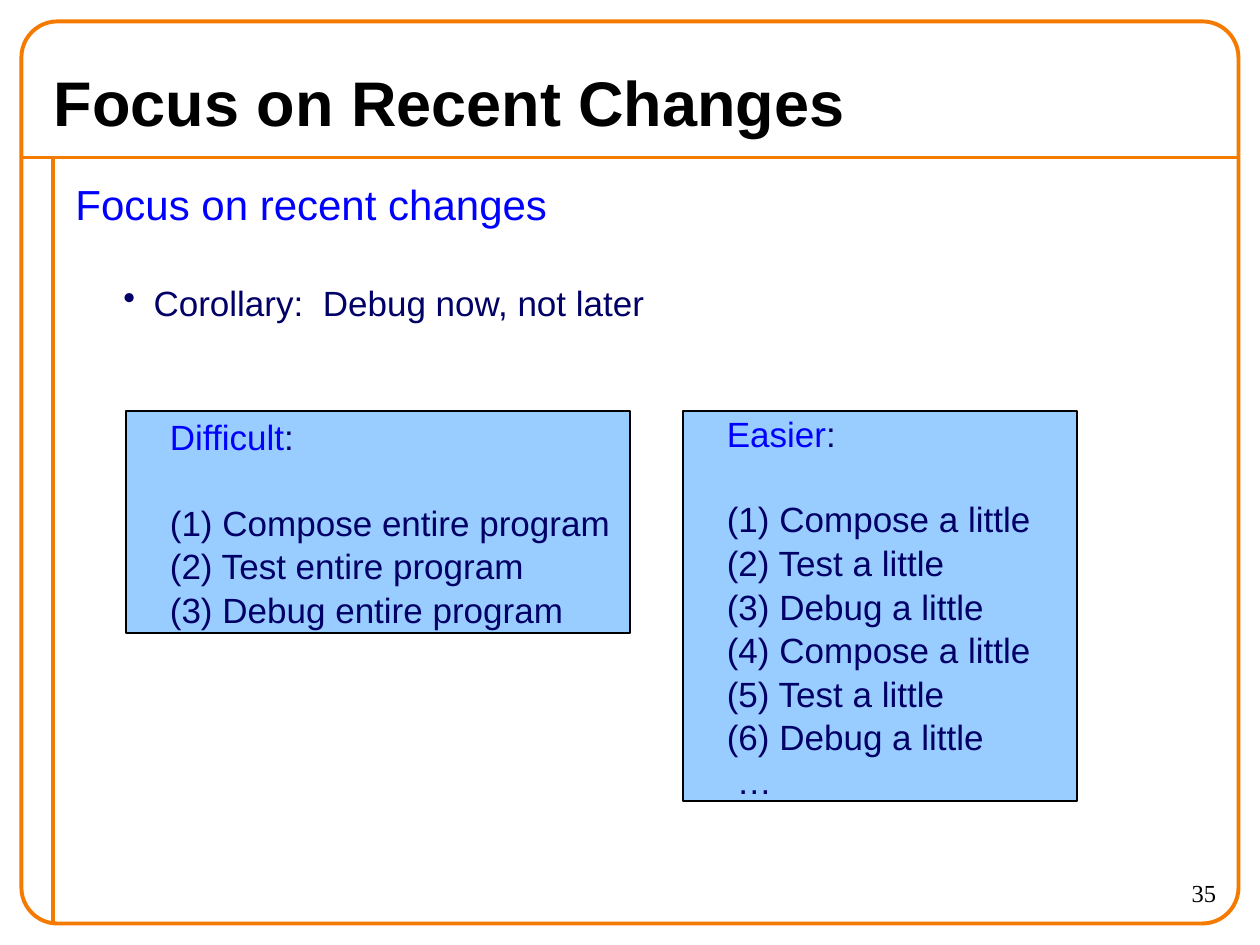
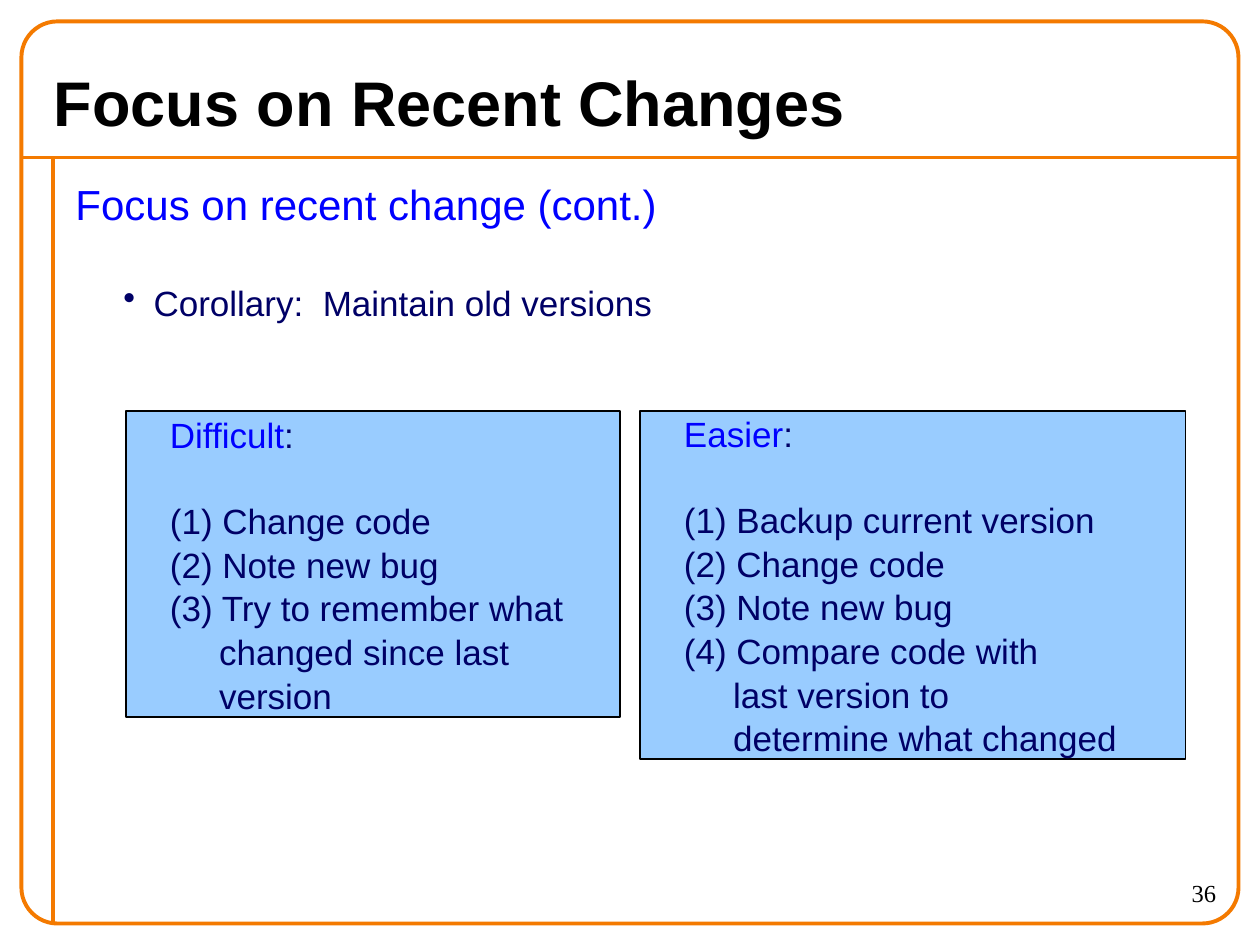
"""Builds two slides on debugging by focusing on recent changes."""
from lxml import etree
from pptx import Presentation
from pptx.dml.color import RGBColor
from pptx.enum.shapes import MSO_CONNECTOR, MSO_SHAPE
from pptx.enum.text import MSO_ANCHOR, PP_ALIGN
from pptx.oxml.ns import qn
from pptx.util import Inches, Pt

LINE = MSO_CONNECTOR.STRAIGHT
RECT, ROUND = MSO_SHAPE.RECTANGLE, MSO_SHAPE.ROUNDED_RECTANGLE
TOP, MIDDLE = MSO_ANCHOR.TOP, MSO_ANCHOR.MIDDLE
LEFT, RIGHT = PP_ALIGN.LEFT, PP_ALIGN.RIGHT

TITLE = "Focus on Recent Changes"
FIRST = 35
SLIDES = [
    {"head": "Focus on recent changes",
     "point": "Corollary:  Debug now, not later",
     "cards": [
         ("Difficult", 1, 4, [
             "(1) Compose entire program",
             "(2) Test entire program",
             "(3) Debug entire program"]),
         ("Easier", 5.42, 3.13, [
             "(1) Compose a little",
             "(2) Test a little",
             "(3) Debug a little",
             "(4) Compose a little",
             "(5) Test a little",
             "(6) Debug a little",
             "…"])]},
    {"head": "Focus on recent change (cont.)",
     "point": "Corollary:  Maintain old versions",
     "cards": [
         ("Difficult", 1, 3.92, [
             "(1) Change code",
             "(2) Note new bug",
             "(3) Try to remember what\nchanged since last\nversion"]),
         ("Easier", 5.08, 4.33, [
             "(1) Backup current version",
             "(2) Change code",
             "(3) Note new bug",
             "(4) Compare code with\nlast version to\ndetermine what changed"])]},
]

HEX = {"frame": "F47A00", "card": "99CCFF", "blue": "0000FF",
       "navy": "000066", "black": "000000"}
FONTS = {
    "title": {"name": "Arial", "size": Pt(36), "bold": True},
    "head": {"name": "Arial", "size": Pt(24)},
    "text": {"name": "Arial", "size": Pt(20)},
    "page": {"name": "Times New Roman", "size": Pt(14)},
}
WIDE, HIGH = 10, 7.5
EDGE, RULE, SPINE = 0.17, 1.25, 0.42
CARD_TOP, ROW, PAD = 3.26, 1 / 3, 0.05
NUDGE, HANG = 0.25, 0.39
SPACING = 1.04


def tint(name):
    return RGBColor.from_string(HEX[name])


def assign(item, values):
    for key, value in values.items():
        setattr(item, key, value)


def stroke(line, name, width):
    line.color.rgb = tint(name)
    line.width = Pt(width)


def write(para, parts, font, left=0, first=0, bullet=None, **values):
    props = para._p.get_or_add_pPr()
    props.set("marL", str(Inches(left)))
    props.set("indent", str(Inches(first)))
    assign(para, {"alignment": LEFT, "line_spacing": SPACING, **values})
    if bullet:
        etree.SubElement(props, qn("a:buChar")).set("char", bullet)
    for text, color in parts:
        for row, words in enumerate(text.split("\n")):
            if row:
                para.add_line_break()
            run = para.add_run()
            run.text = words
            assign(run.font, FONTS[font])
            run.font.color.rgb = tint(color)


def frame_of(shape, anchor):
    frame = shape.text_frame
    assign(frame, {"word_wrap": True, "vertical_anchor": anchor})
    return frame


def add_box(slide, area, anchor=TOP):
    return frame_of(slide.shapes.add_textbox(*map(Inches, area)), anchor)


def add_shape(slide, kind, area, color, width):
    shape = slide.shapes.add_shape(kind, *map(Inches, area))
    shape.shadow.inherit = False
    stroke(shape.line, color, width)
    return shape


def add_frame(slide, page):
    ends = [(EDGE, RULE, WIDE - EDGE, RULE),
            (SPINE, RULE, SPINE, HIGH - EDGE)]
    for points in ends:
        line = slide.shapes.add_connector(LINE, *map(Inches, points))
        stroke(line.line, "frame", 2.25)
        etree.SubElement(line._element.spPr, qn("a:effectLst"))
    area = (EDGE, EDGE, WIDE - 2 * EDGE, HIGH - 2 * EDGE)
    border = add_shape(slide, ROUND, area, "frame", 2.25)
    border.adjustments[0] = 0.04
    border.fill.background()
    number = add_box(slide, (8.75, 6.92, 1, 0.42))
    write(number.paragraphs[0], [(str(page), "black")], "page",
          alignment=RIGHT, line_spacing=1.0)
    title = add_box(slide, (0.33, 0.42, 9.33, 0.75), MIDDLE)
    write(title.paragraphs[0], [(TITLE, "black")], "title")


def add_body(slide, head, point):
    body = add_box(slide, (0.5, 1.35, 9.25, 6))
    write(body.paragraphs[0], [(head, "blue")], "head")
    write(body.add_paragraph(), [(point, "navy")], "text", 0.62, -0.24,
          "•", space_before=Pt(29))


def add_card(slide, label, left, width, steps):
    rows = 2 + sum(1 + step.count("\n") for step in steps)
    area = (left, CARD_TOP, width, rows * ROW + 2 * PAD)
    card = add_shape(slide, RECT, area, "black", 1)
    card.fill.solid()
    card.fill.fore_color.rgb = tint("card")
    frame = frame_of(card, MIDDLE)
    write(frame.paragraphs[0], [(label, "blue"), (":", "navy")], "text", NUDGE)
    for index, step in enumerate(steps):
        first = -0.31 if step == "…" else -HANG
        write(frame.add_paragraph(), [(step, "navy")], "text",
              NUDGE + HANG, first, space_before=Pt(0 if index else 24))


def main():
    deck = Presentation()
    assign(deck, {"slide_width": Inches(WIDE), "slide_height": Inches(HIGH)})
    for page, data in enumerate(SLIDES, FIRST):
        slide = deck.slides.add_slide(deck.slide_layouts[6])
        add_frame(slide, page)
        add_body(slide, data["head"], data["point"])
        for card in data["cards"]:
            add_card(slide, *card)
    deck.save("out.pptx")


if __name__ == "__main__":
    main()
